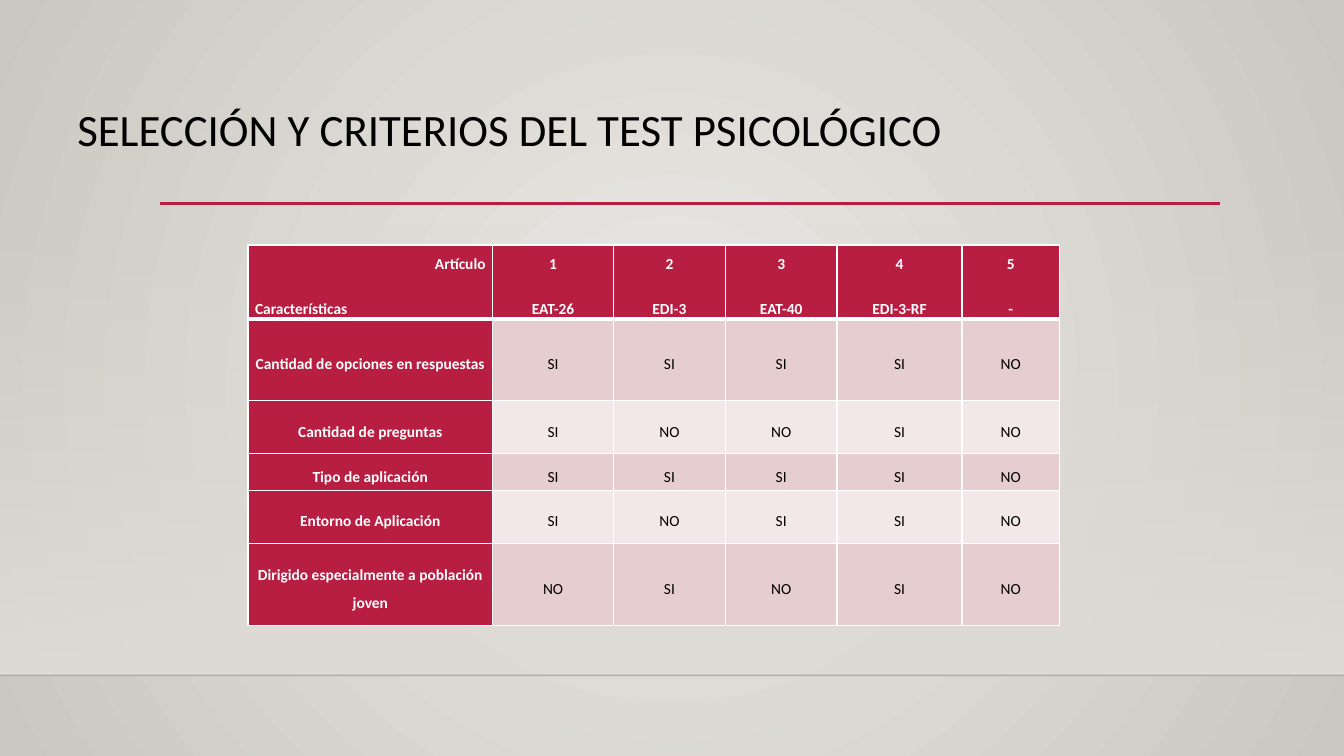
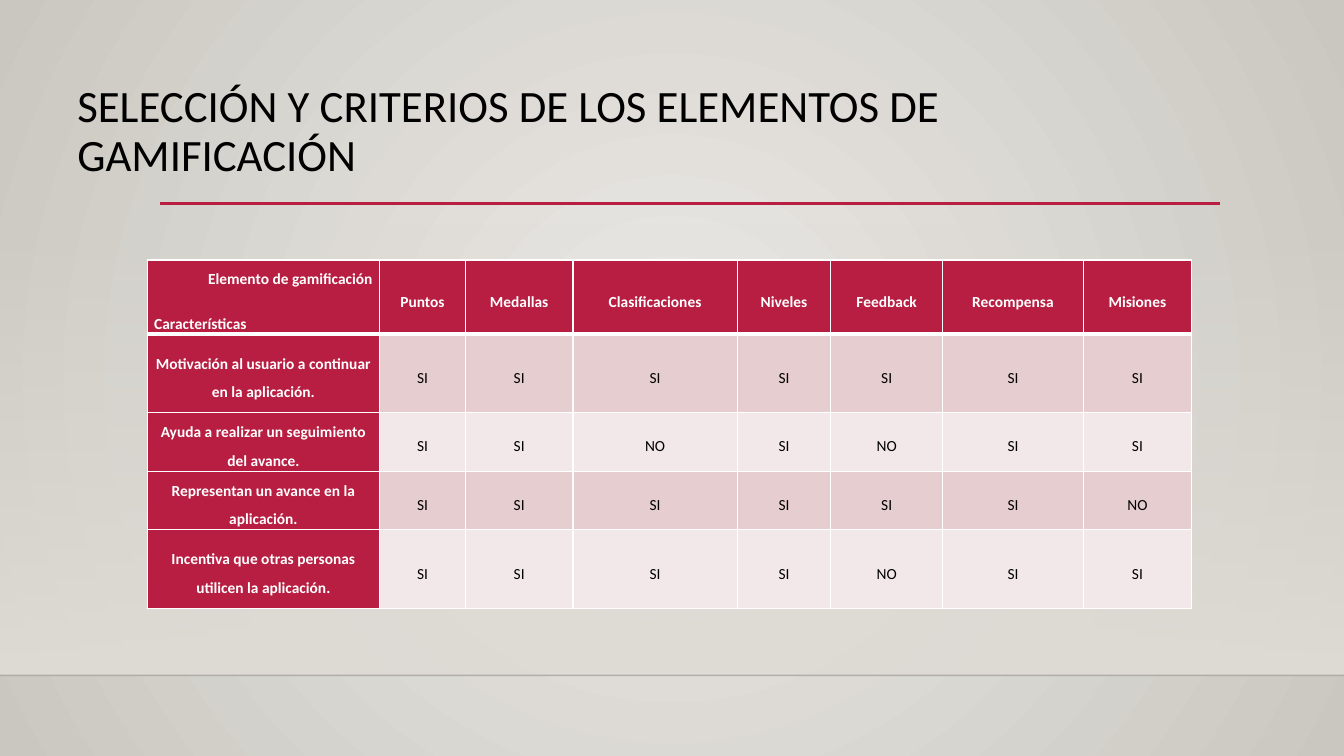
"""Build two criteria-table slides that share one backdrop and title style."""
from dataclasses import dataclass

from pptx import Presentation
from pptx.dml.color import RGBColor
from pptx.enum.shapes import MSO_CONNECTOR as Connector, MSO_SHAPE as Preset
from pptx.enum.text import MSO_ANCHOR as Anchor, MSO_AUTO_SIZE as AutoSize, PP_ALIGN as Align
from pptx.oxml import parse_xml
from pptx.oxml.ns import nsdecls, qn
from pptx.oxml.xmlchemy import BaseOxmlElement as Element
from pptx.slide import Slide
from pptx.table import _Cell as Cell
from pptx.text.text import _Paragraph as Paragraph
from pptx.util import Inches, Length, Pt

WIDTH, HEIGHT = Inches(13.33), Inches(7.5)
FONT = "Calibri"
CRIMSON, WHITE, BLACK = "B71E42", "FFFFFF", "000000"
STRIPES = ("E6CDCF", "F3E8E9")
GLOW, EDGE, WALL, FLOOR = "ECEAE7", "CAC7C1", "DFDBD5", "000001"
RULE_LEFT, RULE_RIGHT, RULE_Y = 11.92, 90.75, 26.9
WALL_TOP, FLOOR_Y = 29.5, 89.33
TITLE_BOX = (5, 8, 85.65, 19)


@dataclass(frozen=True)
class Criterion:
    label: str
    answers: str
    weight: int


@dataclass(frozen=True)
class Comparison:
    title: str
    box: tuple[float, float, float, float]
    corner: tuple[str, str]
    options: list[tuple[str, ...]]
    column_weights: list[int]
    header_weight: int
    criteria: list[Criterion]


COMPARISONS = [
    Comparison(
        "SELECCIÓN Y CRITERIOS DEL TEST PSICOLÓGICO",
        (18.45, 32.4, 60.4, 50),
        ("Artículo", "Características"),
        [("1", "EAT-26"), ("2", "EDI-3"), ("3", "EAT-40"), ("4", "EDI-3-RF"), ("5", "-")],
        [243, 120, 111, 111, 124, 97],
        71,
        [
            Criterion("Cantidad de opciones en respuestas", "SI SI SI SI NO", 81),
            Criterion("Cantidad de preguntas", "SI NO NO SI NO", 53),
            Criterion("Tipo de aplicación", "SI SI SI SI NO", 36),
            Criterion("Entorno de Aplicación", "SI NO SI SI NO", 53),
            Criterion("Dirigido especialmente a población joven", "NO SI NO SI NO", 81),
        ],
    ),
    Comparison(
        "SELECCIÓN Y CRITERIOS DE LOS ELEMENTOS DE GAMIFICACIÓN",
        (10.95, 34.4, 77.7, 45.8),
        ("Elemento de gamificación", "Características"),
        [("Puntos",), ("Medallas",), ("Clasificaciones",), ("Niveles",),
         ("Feedback",), ("Recompensa",), ("Misiones",)],
        [231, 85, 107, 163, 93, 111, 140, 107],
        71,
        [
            Criterion("Motivación al usuario a continuar en la aplicación.", "SI SI SI SI SI SI SI", 78),
            Criterion("Ayuda a realizar un seguimiento del avance.", "SI SI NO SI NO SI SI", 58),
            Criterion("Representan un avance en la aplicación.", "SI SI SI SI SI SI NO", 58),
            Criterion("Incentiva que otras personas utilicen la aplicación.", "SI SI SI SI NO SI SI", 78),
        ],
    ),
]


def color(code: str) -> RGBColor:
    """Turn a hex string into a colour."""
    return RGBColor.from_string(code)


def across(percent: float) -> Length:
    """Give a share of the slide's width."""
    return Length(round(WIDTH * percent / 100))


def down(percent: float) -> Length:
    """Give a share of the slide's height."""
    return Length(round(HEIGHT * percent / 100))


def place(box: tuple[float, float, float, float]) -> tuple[Length, Length, Length, Length]:
    """Turn left, top, width and height shares into lengths."""
    left, top, width, height = box
    return across(left), down(top), across(width), down(height)


def set_gradient(holder: Element, start: str, end: str, start_alpha: int, direction: str) -> None:
    """Replace the solid fill in a holder with a two-stop gradient."""
    gradient = parse_xml(
        f'<a:gradFill {nsdecls("a")} rotWithShape="1"><a:gsLst>'
        f'<a:gs pos="0"><a:srgbClr val="{start}"><a:alpha val="{start_alpha * 1000}"/></a:srgbClr></a:gs>'
        f'<a:gs pos="100000"><a:srgbClr val="{end}"/></a:gs></a:gsLst>{direction}</a:gradFill>'
    )
    holder.replace(holder.find(qn("a:solidFill")), gradient)


def draw_rule(slide: Slide, left: float, right: float, y: float, code: str,
              points: float, opacity: int = 100) -> None:
    """Draw a flat horizontal line between two shares of the width."""
    rule = slide.shapes.add_connector(Connector.STRAIGHT, across(left), down(y), across(right), down(y))
    rule.line.color.rgb = color(code)
    rule.line.width = Pt(points)
    properties = rule._element.spPr
    properties.append(parse_xml(f'<a:effectLst {nsdecls("a")}/>'))
    if opacity < 100:
        tint = properties.find(".//" + qn("a:srgbClr"))
        tint.append(parse_xml(f'<a:alpha {nsdecls("a")} val="{opacity * 1000}"/>'))


def draw_backdrop(slide: Slide) -> None:
    """Draw the radial background, the wall band, the floor line and the title rule."""
    slide.background.fill.solid()
    radial = '<a:path path="circle"><a:fillToRect l="50000" t="50000" r="50000" b="50000"/></a:path>'
    set_gradient(slide._element.find(".//" + qn("p:bgPr")), GLOW, EDGE, 100, radial)
    wall = slide.shapes.add_shape(Preset.RECTANGLE, *place((0, WALL_TOP, 100, FLOOR_Y - WALL_TOP)))
    wall.shadow.inherit = False
    wall.line.fill.background()
    wall.fill.solid()
    set_gradient(wall._element.spPr, WALL, WALL, 0, '<a:lin ang="5400000" scaled="0"/>')
    draw_rule(slide, 0, 100, FLOOR_Y, FLOOR, 1, 20)
    draw_rule(slide, RULE_LEFT, RULE_RIGHT, RULE_Y, CRIMSON, 2.5)


def format_runs(paragraph: Paragraph, size: int, code: str, bold: bool) -> None:
    """Give every run of a paragraph the shared font."""
    for run in paragraph.runs:
        run.font.name = FONT
        run.font.size = Pt(size)
        run.font.bold = bold
        run.font.color.rgb = color(code)


def write_title(slide: Slide, text: str) -> None:
    """Place and format the slide's title."""
    title = slide.shapes.title
    title.left, title.top, title.width, title.height = place(TITLE_BOX)
    frame = title.text_frame
    frame.text = text
    frame.word_wrap = True
    frame.auto_size = AutoSize.NONE
    frame.vertical_anchor = Anchor.MIDDLE
    heading = frame.paragraphs[0]
    heading.alignment = Align.LEFT
    heading.line_spacing = 0.9
    format_runs(heading, 32, BLACK, False)


def set_borders(cell: Cell, top: int, bottom: int) -> None:
    """Give a cell white borders, one point wide at the sides."""
    properties = cell._tc.get_or_add_tcPr()
    for position, (side, points) in enumerate((("L", 1), ("R", 1), ("T", top), ("B", bottom))):
        properties.insert(position, parse_xml(
            f'<a:ln{side} {nsdecls("a")} w="{Pt(points)}"><a:solidFill>'
            f'<a:srgbClr val="{WHITE}"/></a:solidFill></a:ln{side}>'
        ))


def fill_cell(cell: Cell, lines: tuple[str, ...], row: int, column: int) -> None:
    """Write and format one cell by its place in the table."""
    is_heading = row == 0 or column == 0
    is_corner = row == 0 and column == 0
    cell.margin_left = cell.margin_right = Inches(0.07)
    cell.margin_top = cell.margin_bottom = 0
    cell.vertical_anchor = Anchor.TOP if is_corner else Anchor.MIDDLE
    cell.fill.solid()
    cell.fill.fore_color.rgb = color(CRIMSON if is_heading else STRIPES[(row - 1) % 2])
    set_borders(cell, 3 if row == 1 else 1, 3 if row == 0 else 1)
    cell.text_frame.text = "\n".join(lines)
    alignments = (Align.RIGHT, Align.JUSTIFY) if is_corner else (Align.CENTER, Align.CENTER)
    for paragraph, alignment in zip(cell.text_frame.paragraphs, alignments):
        paragraph.alignment = alignment
        paragraph.line_spacing = 1.5
        paragraph.space_before = paragraph.space_after = Pt(6)
        format_runs(paragraph, 11, WHITE if is_heading else BLACK, is_heading)


def draw_comparison(slide: Slide, comparison: Comparison) -> None:
    """Draw the table of criteria against options."""
    row_weights = [comparison.header_weight] + [item.weight for item in comparison.criteria]
    column_weights = comparison.column_weights
    left, top, width, height = place(comparison.box)
    table = slide.shapes.add_table(len(row_weights), len(column_weights), left, top, width, height).table
    for column, weight in zip(table.columns, column_weights):
        column.width = Length(round(width * weight / sum(column_weights)))
    for row, weight in zip(table.rows, row_weights):
        row.height = Length(round(height * weight / sum(row_weights)))
    grid = [[comparison.corner, *comparison.options]]
    for item in comparison.criteria:
        grid.append([(text,) for text in (item.label, *item.answers.split())])
    for row_index, entries in enumerate(grid):
        for column_index, lines in enumerate(entries):
            fill_cell(table.cell(row_index, column_index), lines, row_index, column_index)


def main() -> None:
    """Build and save the presentation."""
    deck = Presentation()
    deck.slide_width, deck.slide_height = WIDTH, HEIGHT
    for comparison in COMPARISONS:
        slide = deck.slides.add_slide(deck.slide_layouts[5])
        draw_backdrop(slide)
        write_title(slide, comparison.title)
        draw_comparison(slide, comparison)
    deck.save("out.pptx")


if __name__ == "__main__":
    main()
